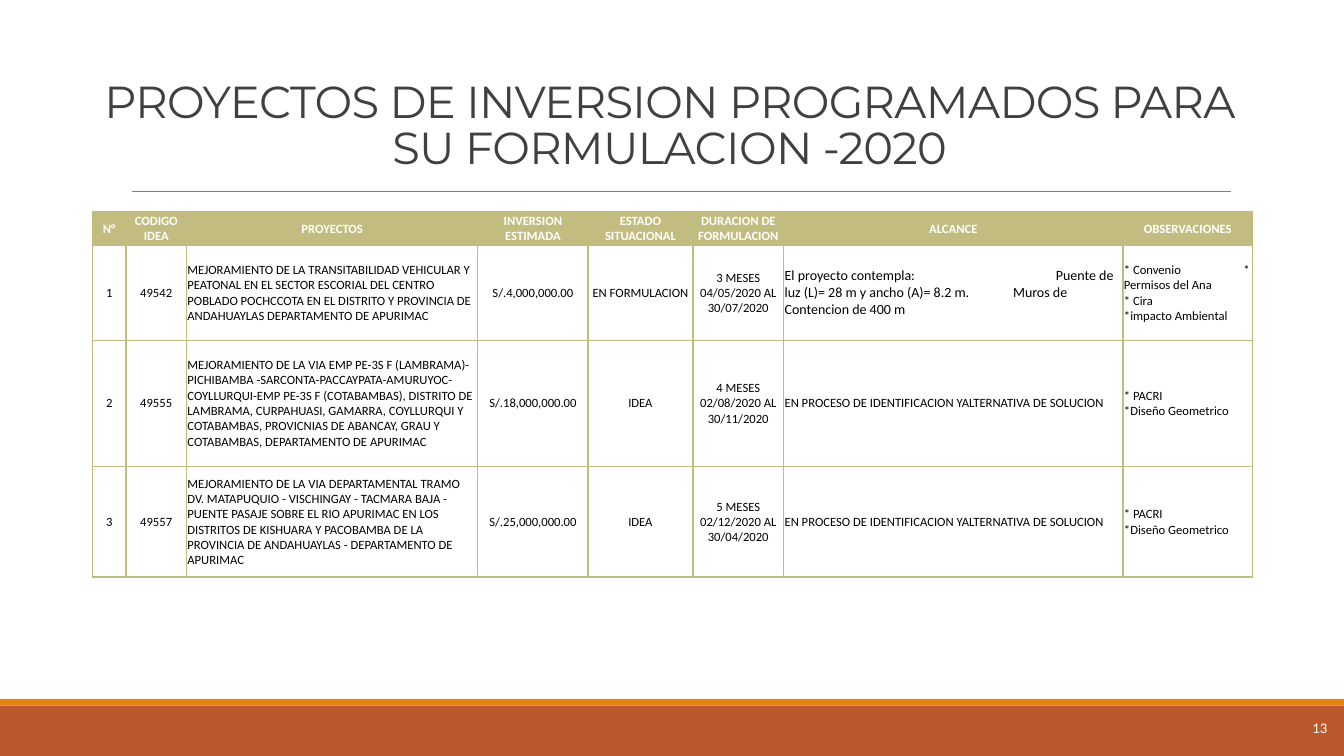
from dataclasses import dataclass
from typing import NamedTuple

from lxml.etree import SubElement
from pptx import Presentation
from pptx.dml.color import RGBColor
from pptx.enum.shapes import MSO_CONNECTOR as Connector, MSO_SHAPE as Shape
from pptx.enum.text import MSO_ANCHOR as Anchor, PP_ALIGN as Align
from pptx.oxml.ns import qn
from pptx.util import Inches, Length, Pt


@dataclass(frozen=True)
class Theme:
    rust: str = "BD582C"
    orange: str = "E48312"
    khaki: str = "C2BC80"
    rule: str = "808080"
    heading: str = "404040"
    ink: str = "000000"
    white: str = "FFFFFF"
    heading_font: str = "Montserrat"
    body_font: str = "Calibri"
    heading_size: float = 32
    number_size: float = 10.5
    scope_size: float = 10
    table_size: float = 9


class Box(NamedTuple):
    """Place and size in cells of the 16 by 9 slide grid."""
    left: float
    top: float
    width: float
    height: float


class Line(NamedTuple):
    """A line of text whose tab, if any, stops at the given grid column."""
    text: str
    tab: float = 0


class Column(NamedTuple):
    heading: str
    width: float
    align: Align = Align.CENTER
    size: float = Theme.table_size


class Project(NamedTuple):
    height: float
    cells: tuple[str | list[Line], ...]


THEME = Theme()
GRID_COLUMNS, GRID_ROWS = 16, 9
HEADER_HEIGHT = 0.4

COLUMNS = [
    Column("N°", 0.4),
    Column("CODIGO IDEA", 0.72),
    Column("PROYECTOS", 3.47, Align.LEFT),
    Column("INVERSION ESTIMADA", 1.31),
    Column("ESTADO SITUACIONAL", 1.25),
    Column("DURACION DE FORMULACION", 1.08),
    Column("ALCANCE", 4.04, Align.LEFT),
    Column("OBSERVACIONES", 1.54, Align.LEFT),
]
SCOPE_COLUMN = 6
PENDING_SCOPE = "EN PROCESO DE IDENTIFICACION YALTERNATIVA DE SOLUCION"
PENDING_NOTES = [Line("* PACRI"), Line("*Diseño Geometrico")]

PROJECTS = [
    Project(1.13, (
        "1", "49542",
        "MEJORAMIENTO DE LA TRANSITABILIDAD VEHICULAR Y PEATONAL EN EL SECTOR "
        "ESCORIAL DEL CENTRO POBLADO POCHCCOTA EN EL DISTRITO Y PROVINCIA DE "
        "ANDAHUAYLAS DEPARTAMENTO DE APURIMAC",
        "S/.4,000,000.00", "EN FORMULACION", "3 MESES 04/05/2020 AL 30/07/2020",
        [Line("El proyecto contempla:\tPuente de", 3.23),
         Line("luz (L)= 28 m y ancho (A)= 8.2 m.\tMuros de", 2.72),
         Line("Contencion de 400 m")],
        [Line("* Convenio\t*", 1.42), Line("Permisos del Ana"),
         Line("* Cira"), Line("*impacto Ambiental")])),
    Project(1.5, (
        "2", "49555",
        "MEJORAMIENTO DE LA VIA EMP PE-3S F (LAMBRAMA)-PICHIBAMBA -SARCONTA-"
        "PACCAYPATA-AMURUYOC-COYLLURQUI-EMP PE-3S F (COTABAMBAS), DISTRITO DE "
        "LAMBRAMA, CURPAHUASI, GAMARRA, COYLLURQUI Y COTABAMBAS, PROVICNIAS DE "
        "ABANCAY, GRAU Y COTABAMBAS, DEPARTAMENTO DE APURIMAC",
        "S/.18,000,000.00", "IDEA", "4 MESES 02/08/2020 AL 30/11/2020",
        PENDING_SCOPE, PENDING_NOTES)),
    Project(1.32, (
        "3", "49557",
        "MEJORAMIENTO DE LA VIA DEPARTAMENTAL TRAMO DV. MATAPUQUIO - VISCHINGAY "
        "- TACMARA BAJA - PUENTE PASAJE SOBRE EL RIO APURIMAC EN LOS DISTRITOS "
        "DE KISHUARA Y PACOBAMBA DE LA PROVINCIA DE ANDAHUAYLAS - DEPARTAMENTO "
        "DE APURIMAC",
        "S/.25,000,000.00", "IDEA", "5 MESES 02/12/2020 AL 30/04/2020",
        PENDING_SCOPE, PENDING_NOTES)),
]

deck = Presentation()
deck.slide_width, deck.slide_height = Inches(13.33), Inches(7.5)
slide = deck.slides.add_slide(deck.slide_layouts[6])


def across(columns: float) -> Length:
    return Length(round(deck.slide_width * columns / GRID_COLUMNS))


def down(rows: float) -> Length:
    return Length(round(deck.slide_height * rows / GRID_ROWS))


def place(box: Box) -> tuple[Length, ...]:
    return across(box.left), down(box.top), across(box.width), down(box.height)


def style(paragraph, align: Align, font: str, size: float, color: str,
          bold: bool = False) -> None:
    paragraph.alignment = align
    paragraph.font.name, paragraph.font.size = font, Pt(size)
    paragraph.font.bold = bold
    paragraph.font.color.rgb = RGBColor.from_string(color)


def add_band(box: Box, color: str) -> None:
    band = slide.shapes.add_shape(Shape.RECTANGLE, *place(box))
    band.shadow.inherit = False
    band.fill.solid()
    band.fill.fore_color.rgb = RGBColor.from_string(color)
    band.line.fill.background()


def add_text(box: Box, text: str, anchor: Anchor):
    frame = slide.shapes.add_textbox(*place(box)).text_frame
    frame.word_wrap, frame.vertical_anchor = True, anchor
    frame.margin_left = frame.margin_right = frame.margin_top = frame.margin_bottom = 0
    frame.text = text
    return frame.paragraphs[0]


def add_borders(cell) -> None:
    for side in ("a:lnL", "a:lnR", "a:lnT", "a:lnB"):
        edge = SubElement(cell._tc.get_or_add_tcPr(), qn(side), w=str(Pt(1)))
        SubElement(SubElement(edge, qn("a:solidFill")), qn("a:srgbClr"), val=THEME.khaki)


def fill_cell(cell, content: str | list[Line], align: Align, size: float,
              header: bool = False) -> None:
    lines = [Line(content)] if isinstance(content, str) else content
    cell.margin_left = cell.margin_right = cell.margin_top = Inches(0.01)
    cell.margin_bottom = 0
    cell.vertical_anchor = Anchor.MIDDLE
    add_borders(cell)
    if header:
        cell.fill.solid()
        cell.fill.fore_color.rgb = RGBColor.from_string(THEME.khaki)
    else:
        cell.fill.background()
    cell.text = "\n".join(line.text for line in lines)
    for paragraph, line in zip(cell.text_frame.paragraphs, lines):
        if line.tab:
            stops = SubElement(paragraph._p.get_or_add_pPr(), qn("a:tabLst"))
            SubElement(stops, qn("a:tab"), pos=str(across(line.tab)), algn="l")
        style(paragraph, align, THEME.body_font, size,
              THEME.white if header else THEME.ink, header)


# Footer bands and page number
add_band(Box(0, 8.4, GRID_COLUMNS, 0.6), THEME.rust)
add_band(Box(0, 8.32, GRID_COLUMNS, 0.08), THEME.orange)
page_number = add_text(Box(14.84, 8.32, 0.96, 0.68), "13", Anchor.MIDDLE)
style(page_number, Align.RIGHT, THEME.body_font, THEME.number_size, THEME.white)

# Heading and the rule below it
heading = add_text(Box(1.04, 0.53, 13.86, 1.54),
                   "PROYECTOS DE INVERSION PROGRAMADOS PARA SU FORMULACION -2020",
                   Anchor.BOTTOM)
style(heading, Align.CENTER, THEME.heading_font, THEME.heading_size, THEME.heading)
heading.line_spacing = 0.85
heading.runs[0]._r.get_or_add_rPr().set("spc", "-50")

rule = slide.shapes.add_connector(Connector.STRAIGHT, across(1.57), down(2.28),
                                  across(14.65), down(2.28))
rule.line.color.rgb, rule.line.width = RGBColor.from_string(THEME.rule), Pt(0.5)
SubElement(rule._element.spPr, qn("a:effectLst"))

# Project table
heights = [HEADER_HEIGHT] + [project.height for project in PROJECTS]
table_box = Box(1.1, 2.52, sum(column.width for column in COLUMNS), sum(heights))
table = slide.shapes.add_table(len(heights), len(COLUMNS), *place(table_box)).table
table.horz_banding = table.first_row = False
for row, height in zip(table.rows, heights):
    row.height = down(height)
for at, column in enumerate(COLUMNS):
    table.columns[at].width = across(column.width)
    fill_cell(table.cell(0, at), column.heading, Align.CENTER, THEME.table_size, True)
    for number, project in enumerate(PROJECTS, start=1):
        detailed = at == SCOPE_COLUMN and project.cells[at] != PENDING_SCOPE
        fill_cell(table.cell(number, at), project.cells[at], column.align,
                  THEME.scope_size if detailed else column.size)

deck.save("out.pptx")
